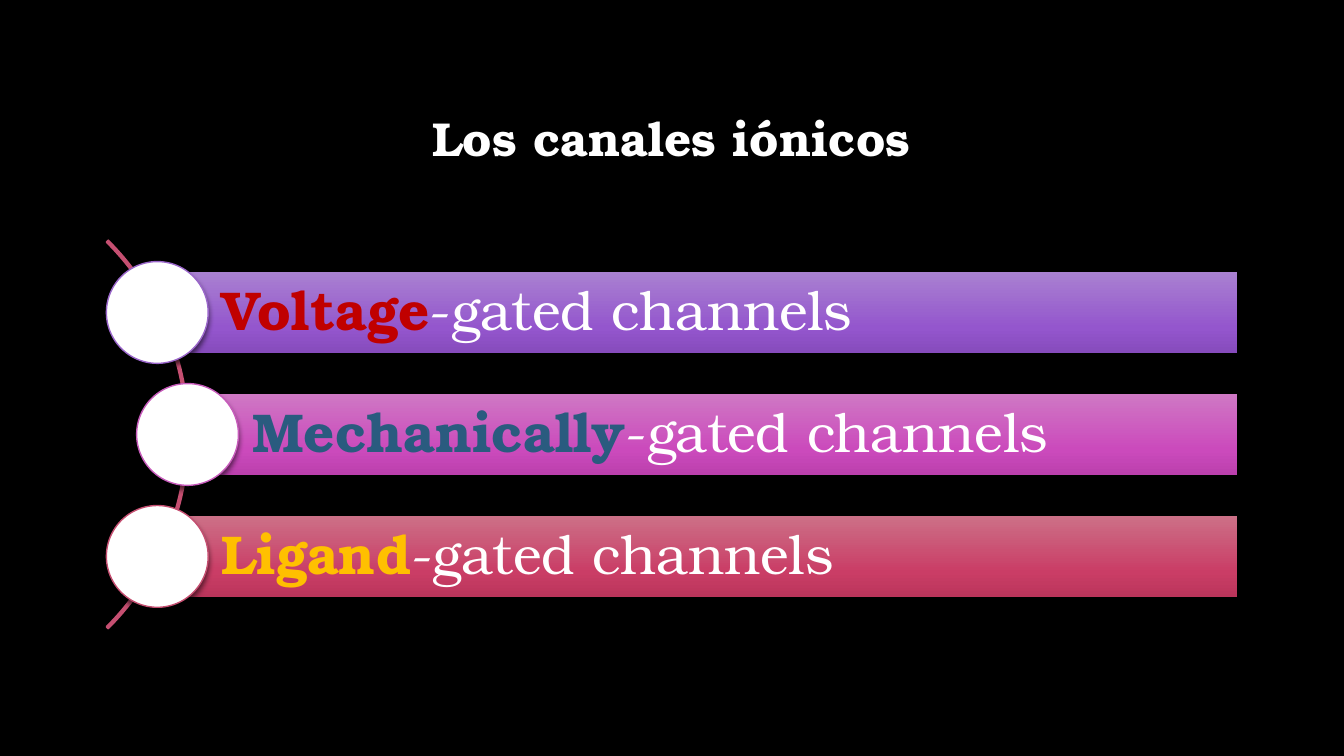
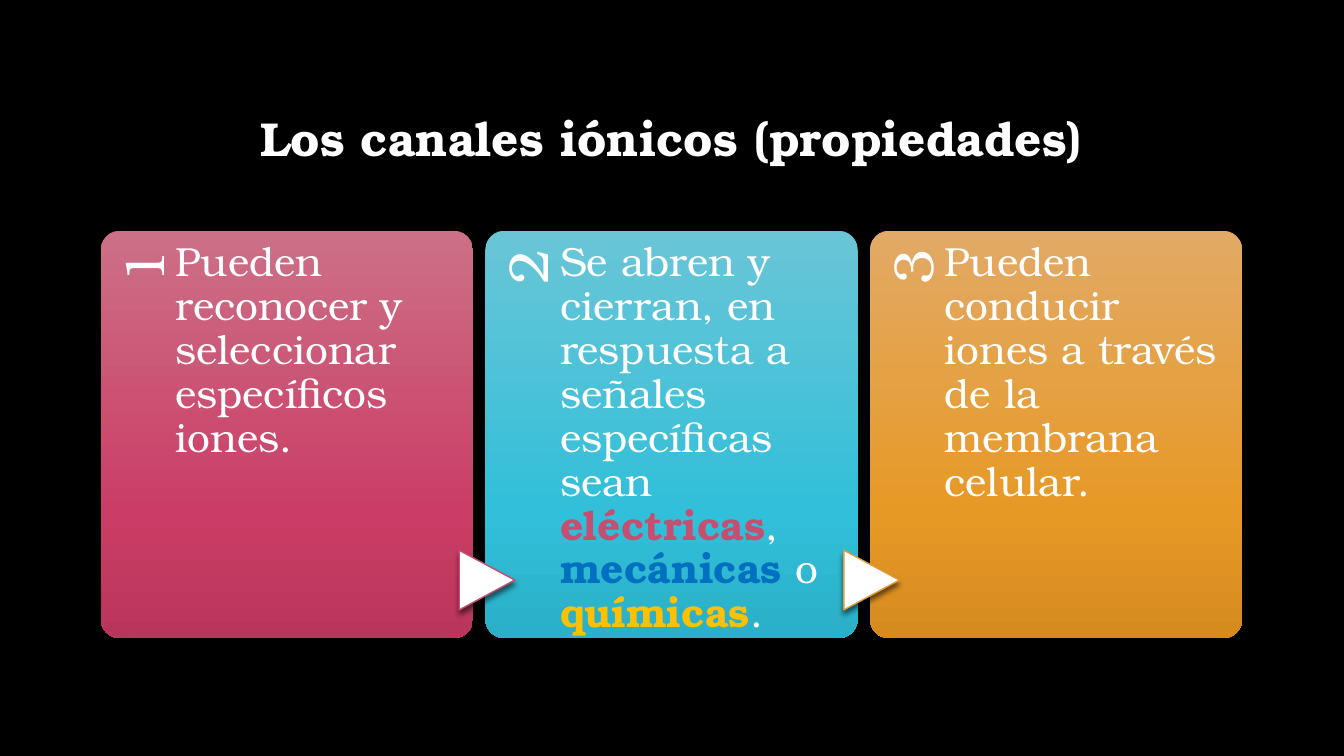
from copy import deepcopy

from pptx import Presentation
from pptx import util as u
from pptx.dml.color import RGBColor
from pptx.enum import shapes as sh, text as tx
from pptx.oxml import parse_xml
from pptx.oxml.ns import nsdecls, qn

FONT = "TeX Gyre Bonum"
BLACK = RGBColor(0, 0, 0)
WHITE = RGBColor(255, 255, 255)
RED = RGBColor(0xC0, 0, 0)
NAVY = RGBColor(0x2A, 0x5B, 0x7F)
GOLD = RGBColor(0xFF, 0xC0, 0)
BLUE = RGBColor(0, 0x70, 0xC0)
ROSE = RGBColor(0xC5, 0x4F, 0x71)
VIOLET = RGBColor(0x9A, 0x66, 0xCA)
PINK = RGBColor(0xC7, 0x5B, 0xBB)
AMBER = RGBColor(0xDE, 0x9C, 0x3C)


def ramp(*codes):
    """Turn hex codes into a tuple of gradient colours."""
    return tuple(RGBColor.from_string(code) for code in codes)


VIOLETS = ramp("A981D1", "9456CD", "864BBC")
PINKS = ramp("CF78C4", "CB4ABC", "BB40AD")
ROSES = ramp("CC7087", "CA3D66", "BA355B")
TEALS = ramp("6AC5D7", "32BFD9", "2AB0C8")
AMBERS = ramp("E2AA66", "E79926", "D68B1F")

TITLE = (1, 0.67, 11.32, 1.45)
BODY = (1, 2.29, 11.32, 4.04)

BARS = [
    (0.56, VIOLETS, VIOLET, "Voltage", RED),
    (0.86, PINKS, PINK, "Mechanically", NAVY),
    (0.56, ROSES, ROSE, "Ligand", GOLD),
]
CARDS = [
    (ROSES, [("Pueden reconocer y seleccionar específicos iones.", None)]),
    (TEALS, [
        ("Se abren y cierran, en respuesta a señales específicas sean ", None),
        ("eléctricas", ROSE), (", ", None), ("mecánicas", BLUE),
        (" o ", None), ("químicas", GOLD), (".", None)]),
    (AMBERS, [("Pueden conducir iones a través de la membrana celular.", None)]),
]
ARROWS = [ROSE, AMBER]


def place(box):
    """Convert a box in inches to lengths."""
    return [u.Inches(side) for side in box]


def write(shape, runs, size, pad, align=tx.PP_ALIGN.LEFT,
          anchor=tx.MSO_ANCHOR.TOP, bold=False):
    """Write runs of (words, accent colour or None) as one paragraph."""
    frame = shape.text_frame
    frame.word_wrap = True
    frame.vertical_anchor = anchor
    (frame.margin_left, frame.margin_top,
     frame.margin_right, frame.margin_bottom) = place(pad)
    para = frame.paragraphs[0]
    para.alignment = align
    para.line_spacing = 0.9
    font = para.font
    font.name, font.size, font.bold = FONT, u.Pt(size), bold
    font.color.rgb = WHITE
    for words, accent in runs:
        run = para.add_run()
        run.text = words
        if accent is not None:
            run.font.bold = True
            run.font.color.rgb = accent


def draw(slide, kind, box, fill=None, line=None, width=1, shade=None):
    """Add a shape with a plain or gradient fill, a line and a shadow."""
    shape = slide.shapes.add_shape(kind, *place(box))
    shape.shadow.inherit = False
    props = shape._element.spPr
    if fill is None:
        shape.fill.background()
    elif isinstance(fill, RGBColor):
        shape.fill.solid()
        shape.fill.fore_color.rgb = fill
    else:
        shape.fill.gradient()
        shape.fill.gradient_angle = 270
        stops = props.find(".//" + qn("a:gsLst"))
        stops.append(deepcopy(stops[-1]))
        for stop, spot, color in zip(shape.fill.gradient_stops, (0, 0.69, 1), fill):
            stop.position = spot
            stop.color.rgb = color
    if line is None:
        shape.line.fill.background()
    else:
        shape.line.color.rgb = line
        shape.line.width = u.Pt(width)
    if shade:
        blur, drop = u.Pt(shade[1]), u.Pt(3)
        props.find(qn("a:effectLst")).append(parse_xml(
            f'<a:outerShdw {nsdecls("a")} blurRad="{blur}" dist="{drop}" '
            f'dir="5400000" rotWithShape="0"><a:srgbClr val="{BLACK}">'
            f'<a:alpha val="{shade[0] * 1000}"/></a:srgbClr></a:outerShdw>'))
    return shape


def start(deck, title):
    """Add a black slide with its title."""
    slide = deck.slides.add_slide(deck.slide_layouts[6])
    slide.background.fill.solid()
    slide.background.fill.fore_color.rgb = BLACK
    write(slide.shapes.add_textbox(*place(TITLE)), [(title, None)], 34,
          (0.1, 0.05, 0.1, 0.05), tx.PP_ALIGN.CENTER, tx.MSO_ANCHOR.MIDDLE, True)
    return slide


def draw_list(slide, box):
    """Draw bars with discs strung along an arc."""
    left, top, wide, high = box
    mid, size, tall, disc, step = top + high / 2, 5.44, 0.81, 1.01, 1.21
    arc = draw(slide, sh.MSO_SHAPE.BLOCK_ARC,
               (left - 4.57, mid - size / 2, size, size), line=ROSE, width=1.5)
    for spot, value in enumerate((189, 27, 0.004)):
        arc.adjustments[spot] = value
    for row, (shift, fill, edge, word, accent) in enumerate(BARS):
        x, y = left + shift, mid + (row - 1) * step
        bar = draw(slide, sh.MSO_SHAPE.RECTANGLE,
                   (x, y - tall / 2, wide - shift - 0.05, tall), fill, shade=(76, 6))
        write(bar, [(word, accent), ("-gated channels", None)], 39,
              (0.64, 0.11, 0.11, 0.11), anchor=tx.MSO_ANCHOR.MIDDLE)
        draw(slide, sh.MSO_SHAPE.OVAL, (x - disc / 2, y - disc / 2, disc, disc),
             WHITE, edge, shade=(54, 4))


def draw_card(slide, box, number, fill, runs):
    """Draw a card with a turned number beside its text."""
    x, y, wide, high = box
    strip, span = 0.74, 3.31
    card = draw(slide, sh.MSO_SHAPE.ROUNDED_RECTANGLE, box, fill, shade=(54, 4))
    card.adjustments[0] = 0.05
    label = slide.shapes.add_textbox(*place(
        (x + (strip - span) / 2, y + (span - strip) / 2, span, strip)))
    label.rotation = 270
    write(label, [(str(number), None)], 40, (0, 0.15, 0.19, 0), tx.PP_ALIGN.RIGHT)
    body = slide.shapes.add_textbox(*place((x + strip, y, wide - strip - 0.2, high)))
    write(body, runs, 29, (0, 0.11, 0, 0))


def draw_row(slide, box):
    """Draw cards in a row with arrows over the gaps."""
    left, top, wide, high = box
    width = 3.69
    step = (wide - width) / (len(CARDS) - 1)
    for col, (fill, runs) in enumerate(CARDS):
        draw_card(slide, (left + col * step, top, width, high), col + 1, fill, runs)
    for col, edge in enumerate(ARROWS, 1):
        arrow = draw(slide, sh.MSO_SHAPE.FLOWCHART_EXTRACT,
                     (left + col * step - 0.28, top + 3.19, 0.59, 0.55),
                     WHITE, edge, shade=(54, 4))
        arrow.rotation = 90


def main():
    """Build and save the deck."""
    deck = Presentation()
    deck.slide_width, deck.slide_height = u.Inches(13.33), u.Inches(7.5)
    draw_list(start(deck, "Los canales iónicos"), BODY)
    draw_row(start(deck, "Los canales iónicos (propiedades)"), BODY)
    deck.save("out.pptx")


if __name__ == "__main__":
    main()
